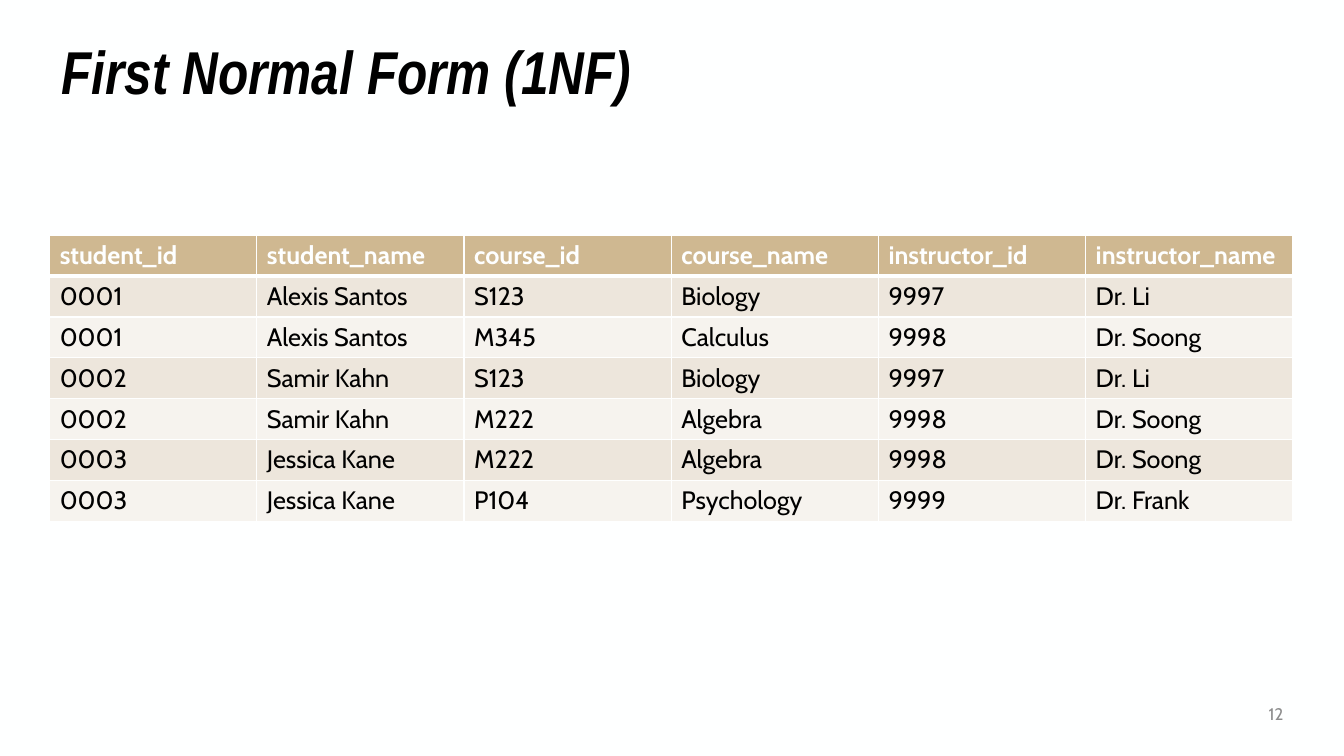
from pptx import Presentation
from pptx import util as u
from pptx.dml.color import RGBColor
from pptx.enum import text
from pptx.oxml import parse_xml
from pptx.oxml.ns import nsdecls

TITLE = "First Normal Form (1NF)"
PAGE = "12"
ROWS = [
    ("student_id", "student_name", "course_id", "course_name", "instructor_id", "instructor_name"),
    ("0001", "Alexis Santos", "S123", "Biology", "9997", "Dr. Li"),
    ("0001", "Alexis Santos", "M345", "Calculus", "9998", "Dr. Soong"),
    ("0002", "Samir Kahn", "S123", "Biology", "9997", "Dr. Li"),
    ("0002", "Samir Kahn", "M222", "Algebra", "9998", "Dr. Soong"),
    ("0003", "Jessica Kane", "M222", "Algebra", "9998", "Dr. Soong"),
    ("0003", "Jessica Kane", "P104", "Psychology", "9999", "Dr. Frank"),
]
COLORS = {"paper": "FEFFFF", "ink": "000000", "gray": "8C8C8C",
          "head": "CFB891", "odd": "EDE6DC", "even": "F6F3EE"}
WIDE, HIGH = 148, 29.2


def color(name):
    return RGBColor.from_string(COLORS[name])


def write(frame, words, size=18, font="Cabin", ink="ink", bold=False, slant=False,
          align=text.PP_ALIGN.LEFT, space=None):
    para = frame.paragraphs[0]
    para.alignment = align
    if space:
        para.line_spacing = space
    run = para.add_run()
    run.text = words
    face = run.font
    face.name, face.size = font, u.Pt(size)
    face.bold, face.italic = bold, slant
    face.color.rgb = color(ink)


def border(cell, widths):
    props = cell._tc.get_or_add_tcPr()
    for side, width in widths.items():
        props.append(parse_xml(
            f'<a:ln{side} {nsdecls("a")} w="{u.Pt(width)}"><a:solidFill>'
            f'<a:srgbClr val="{COLORS["paper"]}"/></a:solidFill></a:ln{side}>'))


def place(shape, *box):
    shape.left, shape.top, shape.width, shape.height = map(u.Pt, box)


def grid(slide):
    count, cols = len(ROWS), len(ROWS[0])
    table = slide.shapes.add_table(
        count, cols, u.Pt(35.5), u.Pt(168), u.Pt(WIDE * cols), u.Pt(HIGH * count)).table
    for col in table.columns:
        col.width = u.Pt(WIDE)
    for r, row in enumerate(ROWS):
        table.rows[r].height = u.Pt(HIGH)
        head = r == 0
        fill = "head" if head else "odd" if r % 2 else "even"
        for c, words in enumerate(row):
            cell = table.cell(r, c)
            border(cell, {"L": 1, "R": 1, "T": 3 if r == 1 else 1, "B": 3 if head else 1})
            cell.fill.solid()
            cell.fill.fore_color.rgb = color(fill)
            write(cell.text_frame, words, ink="paper" if head else "ink", bold=head)


def main():
    deck = Presentation()
    deck.slide_width, deck.slide_height = u.Pt(960), u.Pt(540)
    slide = deck.slides.add_slide(deck.slide_layouts[5])
    slide.background.fill.solid()
    slide.background.fill.fore_color.rgb = color("paper")

    title = slide.shapes.title
    place(title, 36.7, 30.2, 887, 46)
    title.text_frame.auto_size = text.MSO_AUTO_SIZE.NONE
    title.text_frame.vertical_anchor = text.MSO_ANCHOR.MIDDLE
    write(title.text_frame, TITLE, size=43.2, font="Arial Narrow", bold=True, slant=True, space=0.9)

    grid(slide)

    page = slide.shapes.add_textbox(0, 0, 0, 0)
    place(page, 837.4, 495.4, 86.4, 28.8)
    page.text_frame.word_wrap = True
    page.text_frame.vertical_anchor = text.MSO_ANCHOR.MIDDLE
    write(page.text_frame, PAGE, size=12, ink="gray", align=text.PP_ALIGN.RIGHT)

    deck.save("out.pptx")


if __name__ == "__main__":
    main()
